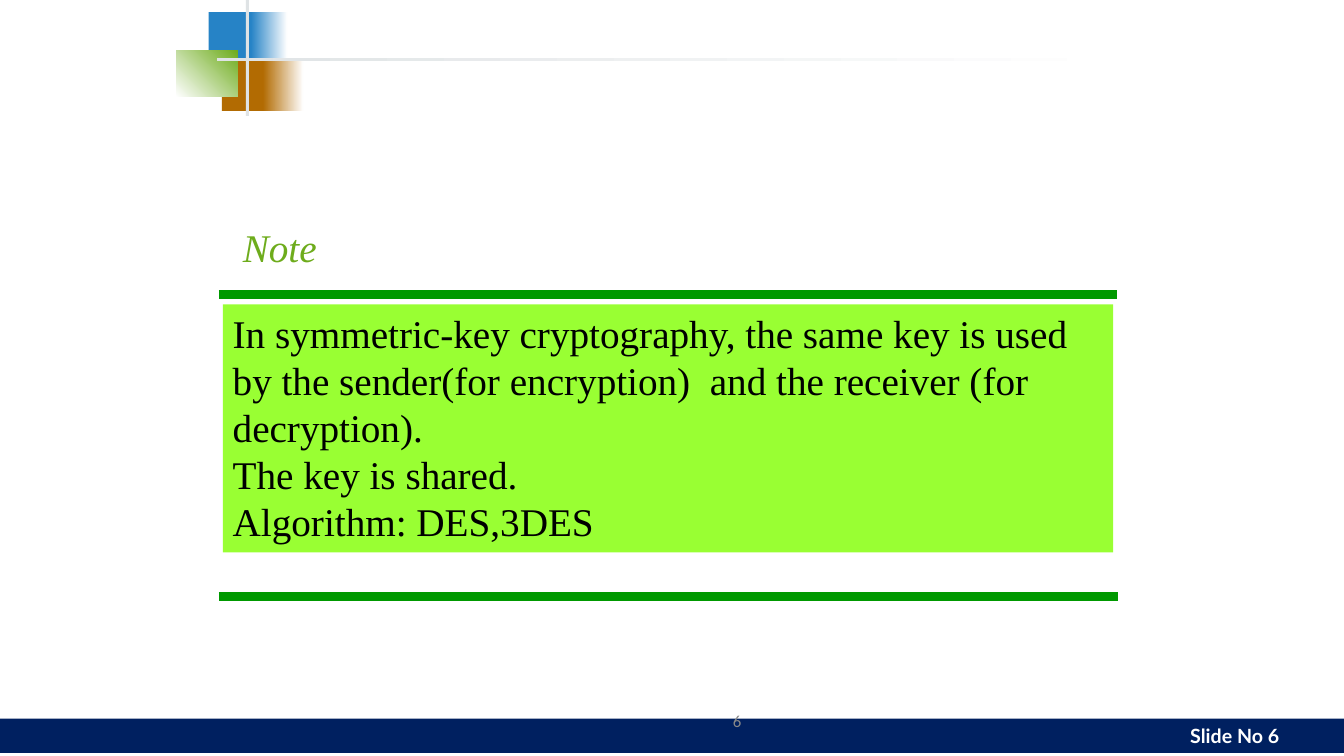
from lxml import etree
from pptx import Presentation
from pptx.dml.color import RGBColor
from pptx.enum.shapes import MSO_CONNECTOR, MSO_SHAPE
from pptx.enum.text import MSO_ANCHOR, PP_ALIGN
from pptx.oxml.ns import qn
from pptx.util import Inches, Pt

RECT = MSO_SHAPE.RECTANGLE
STRAIGHT = MSO_CONNECTOR.STRAIGHT
TOP, MIDDLE = MSO_ANCHOR.TOP, MSO_ANCHOR.MIDDLE
LEFT, RIGHT = PP_ALIGN.LEFT, PP_ALIGN.RIGHT

WHITE, BLUE, ORANGE, GREEN, GREY = "FFFFFF", "2683C6", "B26B02", "6EAC1C", "DFE3E5"
SERIF = "Times New Roman"


def rgb(color):
    return RGBColor.from_string(color)


def add_rect(s, x, y, w, h, color, end_color=None, angle=0):
    """Rectangle with a solid fill, or a gradient when end_color is given."""
    sp = s.shapes.add_shape(RECT, Inches(x), Inches(y), Inches(w), Inches(h))
    sp.shadow.inherit = False
    sp.line.fill.background()
    if end_color:
        sp.fill.gradient()
        sp.fill.gradient_angle = angle
        for stop, stop_color in zip(sp.fill.gradient_stops, (color, end_color)):
            stop.color.rgb = rgb(stop_color)
    else:
        sp.fill.solid()
        sp.fill.fore_color.rgb = rgb(color)
    return sp


def add_rule(s, x1, x2, y):
    """Thick green horizontal line."""
    line = s.shapes.add_connector(STRAIGHT, Inches(x1), Inches(y), Inches(x2), Inches(y))
    line.line.color.rgb = rgb("009900")
    line.line.width = Pt(6)
    etree.SubElement(line._element.spPr, qn("a:effectLst"))


def set_text(sp, lines, size, font, color, align=LEFT, anchor=TOP, bold=False, italic=False):
    tf = sp.text_frame
    tf.word_wrap = True
    tf.vertical_anchor = anchor
    for i, line in enumerate(lines):
        p = tf.paragraphs[0] if i == 0 else tf.add_paragraph()
        p.text = line
        p.alignment = align
        p.font.size = Pt(size)
        p.font.name = font
        p.font.color.rgb = rgb(color)
        p.font.bold = bold
        p.font.italic = italic


def add_label(s, x, y, w, h, text, size, font, color, **style):
    sp = s.shapes.add_textbox(Inches(x), Inches(y), Inches(w), Inches(h))
    set_text(sp, [text], size, font, color, **style)


def main():
    prs = Presentation()
    prs.slide_width, prs.slide_height = Inches(13.33), Inches(7.5)
    s = prs.slides.add_slide(prs.slide_layouts[6])

    # Footer bar and page number
    footer = add_rect(s, 0, 7.13, 13.33, 0.34, "002060")
    footer.text_frame.margin_right = Inches(0.64)
    set_text(footer, ["Slide No 6"], 14, "Lato", WHITE, align=RIGHT, anchor=MIDDLE, bold=True)
    add_label(s, 7.17, 6.95, 2.33, 0.4, "6", 12, "Calibri", "898989", anchor=MIDDLE)

    # Corner ornament
    add_rect(s, 2.07, 0.12, 0.48, 0.52, BLUE)
    add_rect(s, 2.49, 0.12, 0.36, 0.52, BLUE, WHITE)
    add_rect(s, 2.2, 0.58, 0.46, 0.52, ORANGE)
    add_rect(s, 2.61, 0.58, 0.4, 0.52, ORANGE, WHITE)
    add_rect(s, 1.75, 0.5, 0.61, 0.46, WHITE, GREEN, angle=45)
    add_rect(s, 2.44, 0, 0.03, 1.15, GREY)
    add_rect(s, 2.15, 0.58, 9, 0.03, GREY, WHITE)

    # Note between two rules
    add_rule(s, 2.17, 11.08, 2.92)
    add_rule(s, 2.17, 11.09, 5.92)
    panel = add_rect(s, 2.21, 3.02, 8.83, 2.46, "99FF33")
    set_text(panel, [
        "In symmetric-key cryptography, the same key is used by the sender"
        "(for encryption)  and the receiver (for decryption).",
        "The key is shared.",
        "Algorithm: DES,3DES",
    ], 28, SERIF, "000000")
    add_label(s, 2.31, 2.17, 0.96, 0.57, "Note", 28, SERIF, GREEN, italic=True)

    prs.save("out.pptx")


if __name__ == "__main__":
    main()
